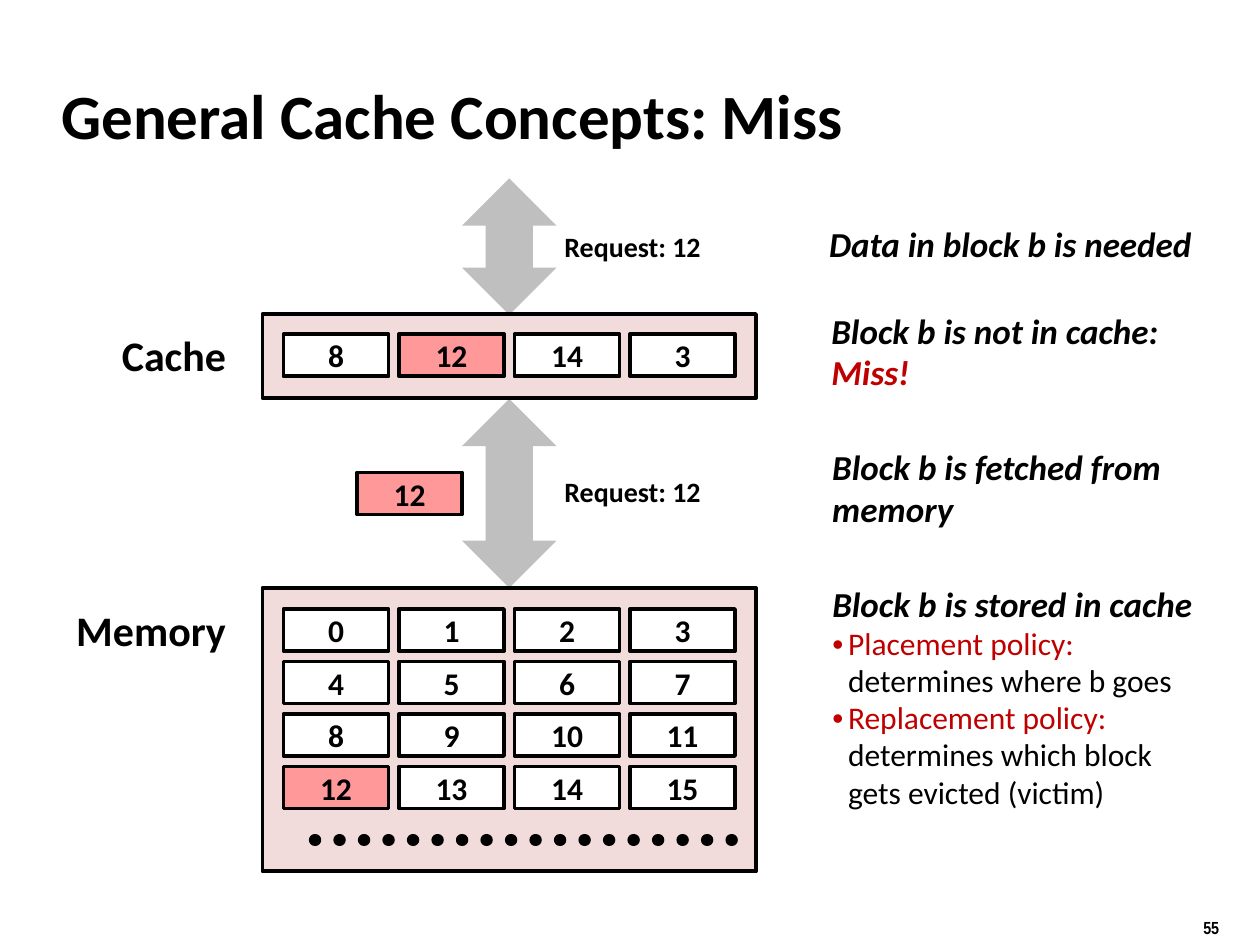
from lxml import etree
from pptx import Presentation
from pptx.dml.color import RGBColor
from pptx.enum.dml import MSO_LINE
from pptx.enum.shapes import MSO_CONNECTOR, MSO_SHAPE
from pptx.enum.text import MSO_ANCHOR, PP_ALIGN
from pptx.oxml.ns import qn
from pptx.util import Pt

RECT, ARROW = MSO_SHAPE.RECTANGLE, MSO_SHAPE.UP_DOWN_ARROW
TOP, MID = MSO_ANCHOR.TOP, MSO_ANCHOR.MIDDLE
LEFT, MIDST = PP_ALIGN.LEFT, PP_ALIGN.CENTER
DOT, LINE = MSO_LINE.ROUND_DOT, MSO_CONNECTOR.STRAIGHT
BLACK, WHITE, RED = "000000", "FFFFFF", "C00000"
PINK, ROSE, GREY = "F2DCDB", "FF9999", "BFBFBF"

hue = RGBColor.from_string
deck = Presentation()
deck.slide_width, deck.slide_height = Pt(720), Pt(540)
slide = deck.slides.add_slide(deck.slide_layouts[6])
shapes = slide.shapes


def block(kind, area, fill, edge=True):
    shape = shapes.add_shape(kind, *map(Pt, area))
    shape.shadow.inherit = False
    shape.fill.solid()
    shape.fill.fore_color.rgb = hue(fill)
    if edge:
        shape.line.color.rgb = hue(BLACK)
        shape.line.width = Pt(2.25)
    else:
        shape.line.fill.background()
    return shape


def write(shape, paras, size, anchor=TOP, align=LEFT, space=None, face="Calibri", slant=False):
    frame = shape.text_frame
    for key, value in {"word_wrap": False, "vertical_anchor": anchor}.items():
        setattr(frame, key, value)
    for place, runs in enumerate(paras):
        para = frame.add_paragraph() if place else frame.paragraphs[0]
        for key, value in {"alignment": align, "line_spacing": space}.items():
            setattr(para, key, value)
        for spot, (words, tone) in enumerate(runs):
            if spot:
                para.add_line_break()
            run = para.add_run()
            run.text = words
            form = {"name": face, "size": Pt(size), "bold": True, "italic": slant}
            for key, value in form.items():
                setattr(run.font, key, value)
            run.font.color.rgb = hue(tone)
    return frame


block(ARROW, (264, 102, 54, 78), GREY, False)
block(ARROW, (264, 228, 54, 108), GREY, False)
block(RECT, (150, 336, 282, 162), PINK)
block(RECT, (150, 179.5, 282, 48), PINK)

cells = [(162 + 66 * (n % 4), 348 + 30 * (n // 4), n) for n in range(16)]
cells += [(162 + 66 * n, 191, value) for n, value in enumerate((8, 12, 14, 3))]
cells.append((204, 270, 12))
for x, y, value in cells:
    cell = block(RECT, (x, y, 60, 24), ROSE if value == 12 else WHITE)
    write(cell, [[(str(value), BLACK)]], 18, MID, MIDST)

dots = shapes.add_connector(LINE, Pt(180), Pt(480), Pt(420), Pt(480))
dots.line.color.rgb = hue(BLACK)
dots.line.width = Pt(7)
dots.line.dash_style = DOT
props = dots.element.spPr
props.find(qn("a:ln")).set("cap", "rnd")
etree.SubElement(props, qn("a:effectLst"))

labels = [
    ((28, 35.5, 598, 60), "General Cache Concepts: Miss", 36, {"anchor": MID}),
    ((62.5, 185, 74, 36), "Cache", 24, {}),
    ((36.5, 342, 100, 36), "Memory", 24, {}),
    ((315.5, 127.5, 92, 26), "Request: 12", 16, {"align": MIDST}),
    ((315.5, 267.5, 92, 26), "Request: 12", 16, {"align": MIDST}),
    ((680.5, 520.5, 54, 19), "55", 10, {"face": "Arial Narrow"}),
]
for area, words, size, form in labels:
    write(shapes.add_textbox(*map(Pt, area)), [[(words, BLACK)]], size, **form)

notes = [
    ((466.75, 124.75, 222, 31), [[("Data in block b is needed", BLACK)]]),
    ((468, 174.25, 201.5, 55), [[("Block b is not in cache:", BLACK)], [("Miss!", RED)]]),
    ((468.5, 252, 202.5, 55), [[("Block b is fetched from", BLACK)], [("memory", BLACK)]]),
    ((468.5, 330.5, 220.5, 137), [
        [("Block b is stored in cache", BLACK)],
        [("Placement policy:", RED), ("determines where b goes", BLACK)],
        [("Replacement policy:", RED), ("determines which block", BLACK),
         ("gets evicted (victim)", BLACK)],
    ]),
]
for area, paras in notes:
    box = shapes.add_textbox(*map(Pt, area))
    frame = write(box, paras, 20, MID, space=0.98, slant=True)

for para in frame.paragraphs[1:]:
    props = para._p.get_or_add_pPr()
    props.set("marL", str(Pt(9)))
    props.set("indent", str(Pt(-9)))
    tint = etree.SubElement(props, qn("a:buClr"))
    etree.SubElement(tint, qn("a:srgbClr"), val=RED)
    etree.SubElement(props, qn("a:buFont"), typeface="Arial")
    etree.SubElement(props, qn("a:buChar"), char="•")
    para.font.size = Pt(18)
    for run in para.runs:
        for key, value in {"size": Pt(18), "bold": False, "italic": False}.items():
            setattr(run.font, key, value)

deck.save("out.pptx")
